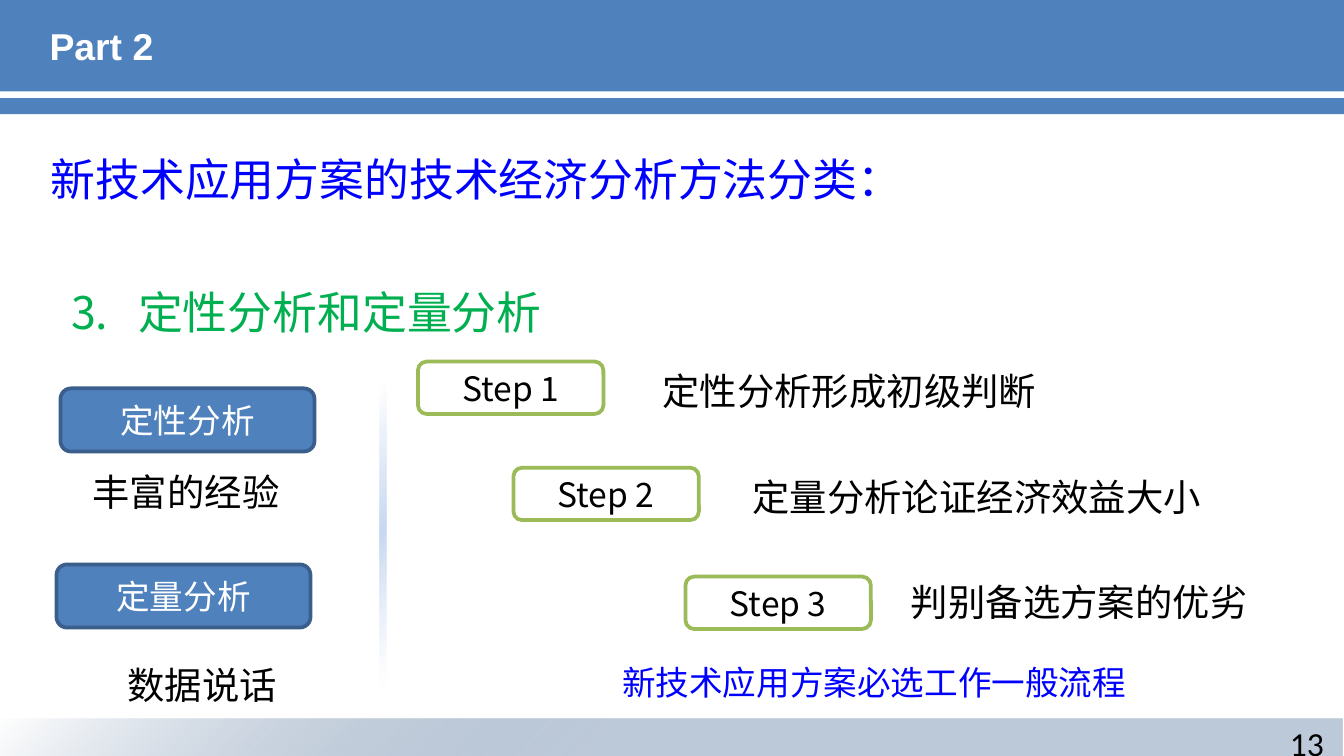
import pptx
import pptx.dml.color
import pptx.enum.shapes
import pptx.enum.text
import pptx.oxml
import pptx.oxml.ns
import pptx.util
from lxml import etree
from pptx.util import Inches

COLORS = {
    "white": "FFFFFF", "black": "000000", "blue": "4F81BD", "edge": "3A5F8C",
    "navy": "1F497D", "pale": "C6D9F1", "link": "0000FF",
    "green": "00B050", "olive": "9BBB59",
}
CJK = "Noto Sans CJK SC"
SHAPE = pptx.enum.shapes.MSO_SHAPE
ALIGN = pptx.enum.text.PP_ALIGN
ANCHOR = pptx.enum.text.MSO_ANCHOR


def color(name):
    return pptx.dml.color.RGBColor.from_string(COLORS[name])


def write(frame, text, size, ink, font=CJK, bold=False, align=ALIGN.LEFT):
    para = frame.paragraphs[0]
    para.text = text
    para.alignment = align
    para.font.size = pptx.util.Pt(size)
    para.font.bold = bold
    para.font.name = font
    para.font.color.rgb = color(ink)
    # East Asian glyphs need their own typeface entry
    properties = para._p.pPr.find(pptx.oxml.ns.qn("a:defRPr"))
    etree.SubElement(properties, pptx.oxml.ns.qn("a:ea"), typeface=font)
    return para


def add_text(page, place, text, size, ink, wrap=False, anchor=ANCHOR.TOP, **style):
    box = page.shapes.add_textbox(*map(Inches, place))
    box.text_frame.word_wrap = wrap
    box.text_frame.vertical_anchor = anchor
    return write(box.text_frame, text, size, ink, **style)


def add_block(page, place, fill=None, kind=SHAPE.RECTANGLE):
    block = page.shapes.add_shape(kind, *map(Inches, place))
    block.shadow.inherit = False
    block.line.fill.background()
    if fill:
        block.fill.solid()
        block.fill.fore_color.rgb = color(fill)
    return block


def add_button(page, place, text, fill, edge, ink):
    button = add_block(page, place, fill, SHAPE.ROUNDED_RECTANGLE)
    button.line.color.rgb = color(edge)
    button.line.width = pptx.util.Pt(2)
    button.text_frame.vertical_anchor = ANCHOR.MIDDLE
    write(button.text_frame, text, 18, ink, align=ALIGN.CENTER)


def add_gradient(page, place, stops):
    """Radial fill centred on the lower right corner; stops are (%, color, opacity %)."""
    block = add_block(page, place)
    marks = "".join(
        f'<a:gs pos="{at * 1000}"><a:srgbClr val="{COLORS[name]}">'
        f'<a:alpha val="{opacity * 1000}"/></a:srgbClr></a:gs>'
        for at, name, opacity in stops)
    fill = pptx.oxml.parse_xml(
        f'<a:gradFill {pptx.oxml.ns.nsdecls("a")} rotWithShape="1">'
        f'<a:gsLst>{marks}</a:gsLst><a:path path="circle">'
        '<a:fillToRect l="100000" t="100000"/></a:path></a:gradFill>')
    block._element.spPr.find(pptx.oxml.ns.qn("a:prstGeom")).addnext(fill)
    return block


def number_paragraph(para, start):
    para.line_spacing = 1.3
    properties = para._p.pPr
    properties.set("marL", str(Inches(0.5)))
    properties.set("indent", str(Inches(-0.5)))
    names = pptx.oxml.ns.nsdecls("a")
    before = pptx.oxml.parse_xml(
        f'<a:spcBef {names}><a:spcPct val="50000"/></a:spcBef>')
    bullet = pptx.oxml.parse_xml(
        f'<a:buAutoNum {names} type="arabicPeriod" startAt="{start}"/>')
    properties.find(pptx.oxml.ns.qn("a:lnSpc")).addnext(before)
    before.addnext(bullet)


def main():
    deck = pptx.Presentation()
    # Widescreen, 16:9
    deck.slide_width, deck.slide_height = Inches(10), Inches(10 * 9 / 16)
    page = deck.slides.add_slide(deck.slide_layouts[6])

    # Header and footer bands
    add_block(page, (0, -0.01, 10, 0.69), "blue")
    add_text(page, (0.27, 0.02, 9.45, 0.64), "Part 2", 20, "white", wrap=True,
             anchor=ANCHOR.MIDDLE, font="Arial", bold=True)
    add_gradient(page, (0, 5.35, 9.99, 0.27),
                 [(55, "navy", 29), (100, "white", 69)])
    add_block(page, (-0.01, 0.73, 10.01, 0.12), "blue")
    add_text(page, (7.62, 5.33, 2.33, 0.3), "13", 18, "black", wrap=True,
             font="Calibri", align=ALIGN.RIGHT)

    # Headings
    add_text(page, (0.28, 1.08, 7.24, 0.5),
             "新技术应用方案的技术经济分析方法分类：", 24, "link", wrap=True)
    topic = add_text(page, (0.43, 1.95, 8.58, 0.55),
                     "定性分析和定量分析", 24, "green", wrap=True)
    number_paragraph(topic, 3)

    # The two methods and what each relies on
    methods = [
        ("定性分析", 0.45, 2.89, "丰富的经验", (0.59, 3.44, 1.6, 0.44)),
        ("定量分析", 0.42, 4.2, "数据说话", (0.85, 4.88, 1.32, 0.44)),
    ]
    for method, left, top, basis, place in methods:
        add_button(page, (left, top, 1.89, 0.47), method, "blue", "edge", "white")
        add_text(page, place, basis, 20, "black")

    # Divider
    divider = add_gradient(page, (1.7, 3.97, 2.3, 0.05),
                           [(5, "white", 69), (52, "pale", 100), (98, "white", 100)])
    divider.rotation = 90

    # Workflow steps
    steps = [
        (3.11, 2.69, "定性分析形成初级判断", (4.83, 2.69, 3.01, 0.44)),
        (3.82, 3.48, "定量分析论证经济效益大小", (5.5, 3.48, 3.57, 0.44)),
        (5.1, 4.29, "判别备选方案的优劣", (6.68, 4.26, 2.73, 0.44)),
    ]
    for number, (left, top, task, place) in enumerate(steps, 1):
        add_button(page, (left, top, 1.38, 0.39), f"Step {number}",
                   "white", "olive", "black")
        add_text(page, place, task, 20, "black")
    add_text(page, (4.53, 4.88, 3.99, 0.4),
             "新技术应用方案必选工作一般流程", 18, "link")

    deck.save("out.pptx")


if __name__ == "__main__":
    main()
